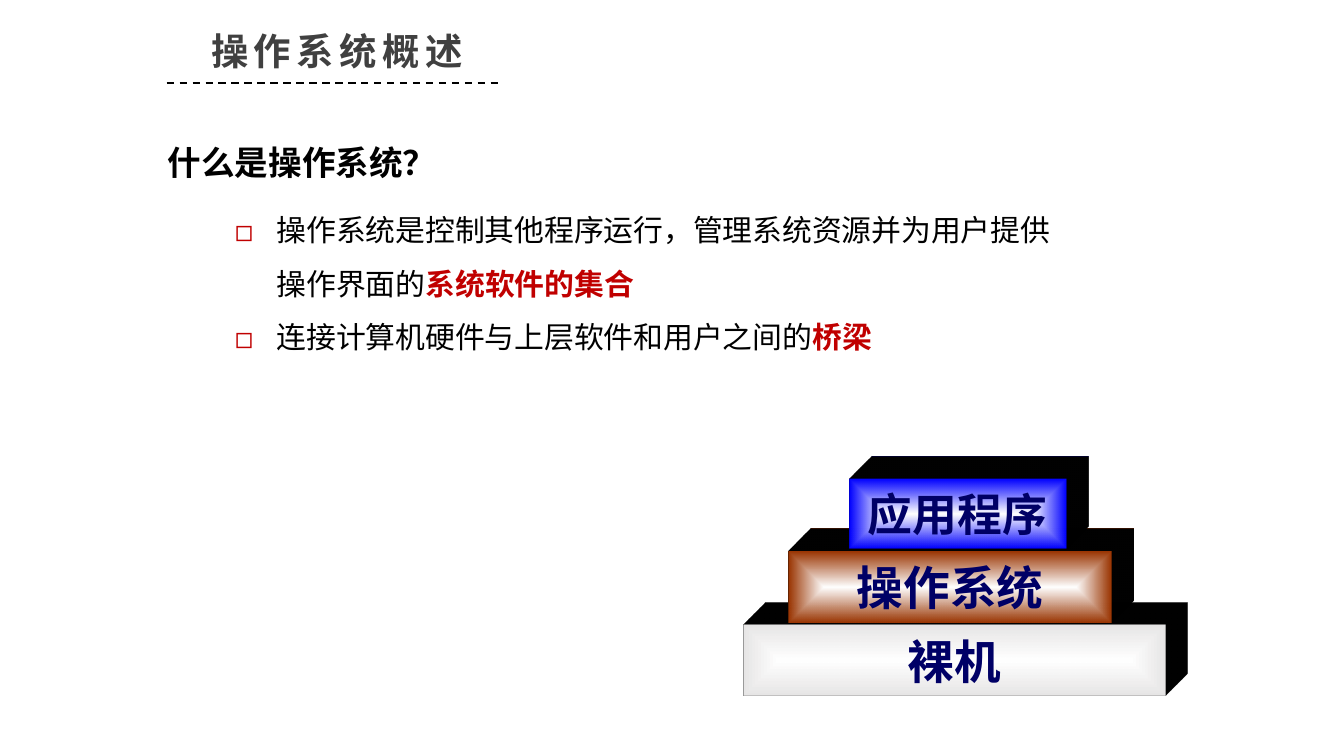
import pptx
import pptx.util
import pptx.dml.color
import pptx.enum.dml
import pptx.enum.shapes
import pptx.enum.text
import pptx.oxml.ns
from lxml import etree

Inches, Pt = pptx.util.Inches, pptx.util.Pt
qn = pptx.oxml.ns.qn
ALIGN = pptx.enum.text.PP_ALIGN
SHAPE = pptx.enum.shapes.MSO_SHAPE

# Content
HEX = {"gray": "404040", "black": "000000", "red": "C00000", "navy": "000066",
       "white": "FFFFFF", "pale": "E7E6E6", "brown": "993300", "blue": "0000FF"}
SANS, SERIF = "Noto Sans CJK SC", "Times New Roman"
TITLE = "操作系统概述"
HEAD = "什么是操作系统？"
POINTS = [
    ("操作系统是控制其他程序运行，管理系统资源并为用户提供操作界面的", "系统软件的集合"),
    ("连接计算机硬件与上层软件和用户之间的", "桥梁"),
]
# Layers from bottom to top: label, size, colour, left, top, width, height
LAYERS = [
    ("裸机", 25, "pale", 5.53, 4.65, 3.14, 0.53),
    ("操作系统", 25, "brown", 5.87, 4.10, 2.40, 0.53),
    ("应用程序", 24, "blue", 6.32, 3.56, 1.61, 0.52),
]
DEPTH = 0.47


def color(name):
    return pptx.dml.color.RGBColor.from_string(HEX[name])


def add_node(parent, tag, **values):
    node = etree.SubElement(parent, qn("a:" + tag))
    for key, value in values.items():
        node.set(key, str(value))
    return node


def add_run(para, text, size, tint, bold=True, face=SANS):
    run = para.add_run()
    run.text = text
    font = run.font
    font.size, font.bold, font.name = Pt(size), bold, face
    font.color.rgb = color(tint)
    add_node(run._r.get_or_add_rPr(), "ea", typeface=SANS)
    return run


def add_text(left, top, width, height):
    box = slide.shapes.add_textbox(*map(Inches, (left, top, width, height)))
    box.text_frame.word_wrap = True
    return box.text_frame


def add_bullet(para):
    props = para._p.get_or_add_pPr()
    props.set("marL", str(Inches(0.81)))
    props.set("indent", str(Inches(-0.31)))
    add_node(add_node(props, "buClr"), "srgbClr", val=HEX["red"])
    add_node(props, "buFont", typeface=SANS)
    add_node(props, "buChar", char="◻")


def add_glow(shape, tint):
    shape.fill.gradient()
    for stop, name, spot in zip(shape.fill.gradient_stops, ("white", tint), (0, 1)):
        stop.color.rgb = color(name)
        stop.position = spot
    grad = shape._element.spPr.find(qn("a:gradFill"))
    grad.remove(grad.find(qn("a:lin")))
    way = add_node(grad, "path", path="shape")
    add_node(way, "fillToRect", **dict.fromkeys("ltrb", 50000))


def add_depth(shape):
    props = shape._element.spPr
    scene = add_node(props, "scene3d")
    add_node(scene, "camera", prst="legacyObliqueTopRight")
    add_node(scene, "lightRig", rig="legacyFlat3", dir="b")
    solid = add_node(props, "sp3d", extrusionH=Inches(DEPTH),
                     prstMaterial="legacyMatte")
    add_node(add_node(solid, "extrusionClr"), "srgbClr", val=HEX["black"])


deck = pptx.Presentation()
deck.slide_width = Inches(10)
deck.slide_height = deck.slide_width * 9 // 16
slide = deck.slides.add_slide(deck.slide_layouts[6])

# Title and dashed rule
para = add_text(1.08, 0.16, 2.86, 0.45).paragraphs[0]
para.alignment = ALIGN.CENTER
run = add_run(para, TITLE, 20, "gray")
run._r.get_or_add_rPr().set("spc", "300")

rule = slide.shapes.add_connector(
    pptx.enum.shapes.MSO_CONNECTOR.STRAIGHT,
    Inches(1.24), Inches(0.62), Inches(3.73), Inches(0.62))
rule.line.color.rgb = color("black")
rule.line.width = Pt(1)
rule.line.dash_style = pptx.enum.dml.MSO_LINE.DASH
add_node(rule._element.spPr, "effectLst")

# Question and answers
frame = add_text(1.15, 0.86, 6.96, 1.8)
para = frame.paragraphs[0]
para.line_spacing, para.space_after = 1.5, Pt(6)
add_run(para, HEAD, 18, "black")
for plain, key in POINTS:
    para = frame.add_paragraph()
    para.level = 1
    add_bullet(para)
    para.line_spacing = 1.5
    add_run(para, plain, 16, "black", bold=False)
    add_run(para, key, 16, "red")

# Stacked blocks
for label, size, tint, *place in LAYERS:
    block = slide.shapes.add_shape(SHAPE.RECTANGLE, *map(Inches, place))
    block.shadow.inherit = False
    block.line.fill.background()
    add_glow(block, tint)
    add_depth(block)
    frame = block.text_frame
    frame.margin_left = frame.margin_right = Inches(0.11)
    frame.margin_top = frame.margin_bottom = Inches(0.05)
    frame.vertical_anchor = pptx.enum.text.MSO_ANCHOR.MIDDLE
    para = frame.paragraphs[0]
    para.alignment = ALIGN.CENTER
    add_run(para, label, size, "navy", face=SERIF)

deck.save("out.pptx")
